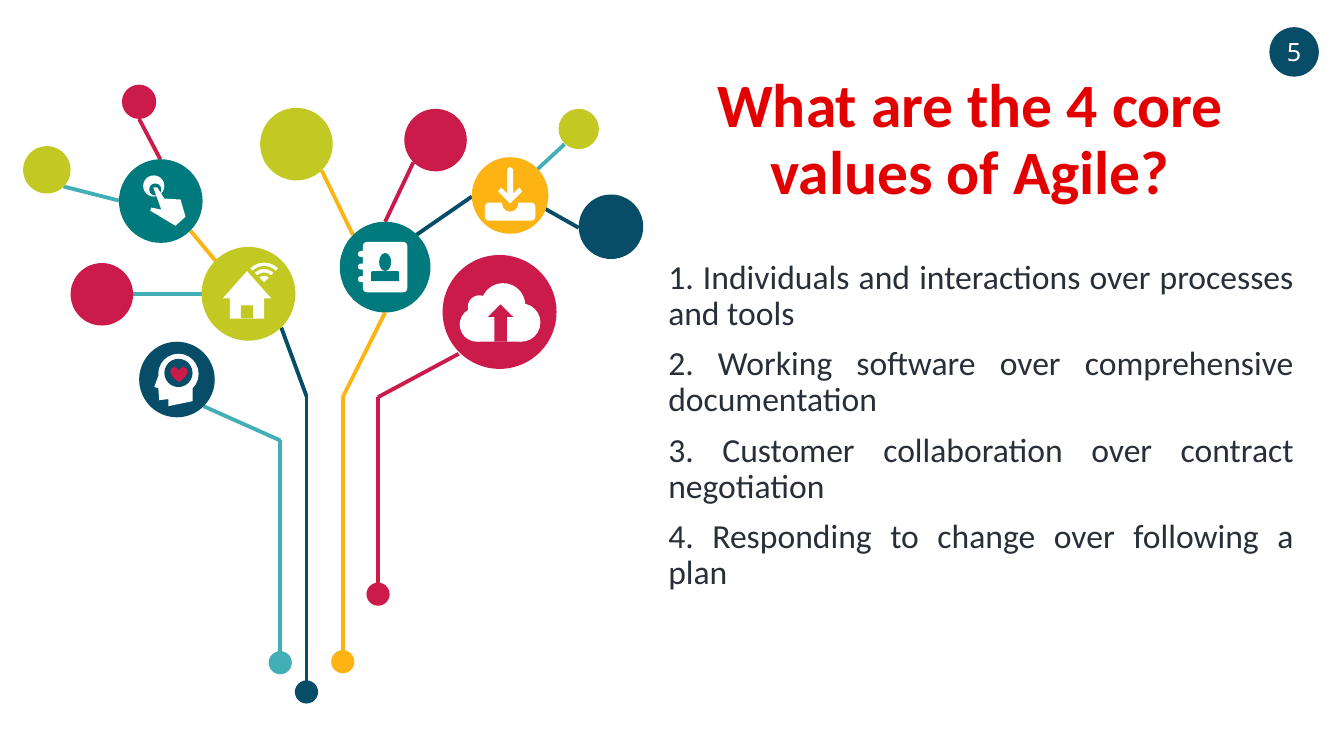
import itertools
import lxml.etree
import pptx
import pptx.dml.color
import pptx.enum.shapes
import pptx.enum.text
import pptx.oxml.ns
import pptx.util

THEME = {
    "navy": "074D67", "aqua": "42AFB6", "amber": "FCB414", "crimson": "CB1B4A",
    "teal": "007A7D", "lime": "C2C923", "white": "FFFFFF", "red": "E30000", "ink": "282F39",
    "body font": "Calibri", "badge font": "Noto Sans",
    "title size": 44, "value size": 24, "badge size": 18, "branch width": 2.75,
}

TITLE = "What are the 4 core values of Agile?"
VALUES = [
    "1. Individuals and interactions over processes and tools",
    "2. Working software over comprehensive documentation",
    "3. Customer collaboration over contract negotiation",
    "4. Responding to change over following a plan",
]
PAGE = "5"

ROOT_SIZE = 0.23
STEMS = [
    ("aqua", (2.78, 6.46), 4.37, (2.02, 4.03)),
    ("navy", (3.04, 6.75), 3.93, (2.79, 3.25)),
    ("amber", (3.4, 6.45), 3.94, (3.82, 3.1)),
    ("crimson", (3.75, 5.78), 3.94, (4.55, 3.51)),
]
TWIGS = [
    ("navy", (5.21, 1.96), (5.74, 2.26)),
    ("aqua", (5.33, 1.68), (5.6, 1.43)),
    ("amber", (2.14, 2.59), (1.89, 2.29)),
    ("navy", (4.13, 2.33), (4.68, 1.95)),
    ("amber", (3.5, 2.33), (3.19, 1.69)),
    ("crimson", (3.82, 2.2), (4.1, 1.61)),
    ("aqua", (2, 2.92), (1.32, 2.92)),
    ("aqua", (1.18, 1.99), (0.63, 1.85)),
    ("crimson", (1.38, 1.18), (1.59, 1.58)),
]
NODES = [
    ("crimson", 4.39, 2.53, 1.13), ("amber", 4.68, 1.56, 0.76),
    ("navy", 1.38, 3.39, 0.75), ("teal", 3.37, 2.2, 0.9),
    ("teal", 1.18, 1.58, 0.83), ("lime", 2, 2.45, 0.93),
    ("crimson", 4.01, 1.08, 0.62), ("lime", 2.58, 1.07, 0.72),
    ("lime", 5.54, 1.08, 0.4), ("navy", 5.74, 1.93, 0.64),
    ("crimson", 0.7, 2.61, 0.62), ("crimson", 1.21, 0.84, 0.34),
    ("lime", 0.23, 1.45, 0.47),
]

BOOK = [("ROUNDED_RECTANGLE", "white", 3.55, 2.49 + 0.125 * tab, 0.1, 0.06) for tab in range(3)] + [
    ("ROUNDED_RECTANGLE", "white", 3.6, 2.4, 0.44, 0.5),
    ("OVAL", "teal", 3.76, 2.51, 0.12, 0.18),
    ("ROUND_2_SAME_RECTANGLE", "teal", 3.68, 2.69, 0.28, 0.1),
]
CLOUD = [
    ("OVAL", "white", 4.56, 3.05, 0.34, 0.34),
    ("OVAL", "white", 4.64, 2.93, 0.23, 0.23),
    ("OVAL", "white", 4.77, 2.81, 0.44, 0.44),
    ("OVAL", "white", 4.98, 3.01, 0.38, 0.38),
    ("RECTANGLE", "white", 4.73, 3.1, 0.45, 0.29),
    ("UP_ARROW", "crimson", 4.84, 3.02, 0.25, 0.37),
]
HOUSE = [
    ("ISOSCELES_TRIANGLE", "white", 2.21, 2.69, 0.48, 0.27),
    ("RECTANGLE", "white", 2.28, 2.94, 0.34, 0.22),
    ("RECTANGLE", "lime", 2.39, 3.03, 0.12, 0.13),
]
HEAD = [
    ("OVAL", "white", 1.57, 3.51, 0.4, 0.4),
    ("OVAL", "navy", 1.63, 3.56, 0.28, 0.28),
    ("HEART", "crimson", 1.69, 3.64, 0.17, 0.15),
]
TOUCH = [
    ("OVAL", "white", 1.42, 1.74, 0.21, 0.21),
    ("OVAL", "teal", 1.48, 1.82, 0.12, 0.12),
]
DOWNLOAD = [
    ("ROUNDED_RECTANGLE", "white", 4.81, 2.01, 0.5, 0.18),
    ("OVAL", "amber", 4.98, 1.94, 0.16, 0.16),
    ("ROUNDED_RECTANGLE", "white", 5.03, 1.66, 0.06, 0.34),
]
FACE = [(1.57, 3.73), (1.53, 3.84), (1.57, 3.85), (1.58, 3.97), (1.67, 3.96),
        (1.67, 4.03), (1.91, 3.98), (1.91, 3.82)]
HAND = [(1.52, 1.86), (1.56, 1.86), (1.63, 1.97), (1.79, 1.98), (1.84, 2.15),
        (1.74, 2.24), (1.49, 2.09), (1.5, 2.06), (1.6, 2.08)]
ARROWHEAD = [(4.94, 1.9), (4.97, 1.86), (5.06, 1.95), (5.15, 1.86), (5.18, 1.9), (5.06, 2.02)]

SIGNAL_CENTER = (2.62, 2.8)
SIGNAL_STEP = 0.065
ARC_START, ARC_END = 135, 189


def inches(*lengths):
    return [pptx.util.Cm(length * 2.54) for length in lengths]


def color(name):
    return pptx.dml.color.RGBColor.from_string(THEME[name])


def paint(shape, fill):
    shape.shadow.inherit = False
    shape.fill.solid()
    shape.fill.fore_color.rgb = color(fill)
    shape.line.fill.background()


def write(frame, lines, font, size, ink, align, bold=False, spacing=None, before=None):
    frame.word_wrap = True
    frame.text = "\n".join(lines)
    for paragraph in frame.paragraphs:
        paragraph.alignment = align
        paragraph.line_spacing = spacing
        paragraph.space_before = before
        for run in paragraph.runs:
            run.font.name = THEME[font]
            run.font.size = pptx.util.Pt(THEME[size])
            run.font.bold = bold
            run.font.color.rgb = color(ink)


def add_part(shapes, kind, fill, left, top, width, height):
    part = shapes.add_shape(
        pptx.enum.shapes.MSO_SHAPE[kind], *inches(left, top, width, height))
    paint(part, fill)
    if kind == "ROUNDED_RECTANGLE":
        part.adjustments[0] = min(0.5, 0.04 / min(width, height))
    return part


def add_circle(shapes, fill, left, top, size):
    return add_part(shapes, "OVAL", fill, left, top, size, size)


def add_outline(shapes, corners):
    first, *rest = [tuple(inches(*corner)) for corner in corners]
    builder = shapes.build_freeform(*first)
    builder.add_line_segments(rest, close=True)
    paint(builder.convert_to_shape(), "white")


def add_signal(shapes):
    x, y = SIGNAL_CENTER
    for ring in (1, 2, 3):
        radius = ring * SIGNAL_STEP
        arc = add_part(shapes, "BLOCK_ARC", "white", x - radius, y - radius, 2 * radius, 2 * radius)
        arc.adjustments[0] = ARC_START
        arc.adjustments[1] = ARC_END
        arc.adjustments[2] = 0.5 if ring == 1 else 0.25 / ring


def add_branch(shapes, ink, *stops):
    for start, end in itertools.pairwise(stops):
        branch = shapes.add_connector(
            pptx.enum.shapes.MSO_CONNECTOR.STRAIGHT, *inches(*start, *end))
        branch.line.color.rgb = color(ink)
        branch.line.width = pptx.util.Pt(THEME["branch width"])
        lxml.etree.SubElement(branch._element.spPr, pptx.oxml.ns.qn("a:effectLst"))


def main():
    deck = pptx.Presentation()
    deck.slide_width, deck.slide_height = inches(13.33, 7.5)
    slide = deck.slides.add_slide(deck.slide_layouts[6])
    align = pptx.enum.text.PP_ALIGN

    title = slide.shapes.add_textbox(*inches(6.66, 0.76, 5.93, 1.35)).text_frame
    title.vertical_anchor = pptx.enum.text.MSO_ANCHOR.BOTTOM
    write(title, [TITLE], "body font", "title size", "red", align.CENTER, True, 0.9)

    values = slide.shapes.add_textbox(*inches(6.53, 2.53, 6.4, 3.35)).text_frame
    write(values, VALUES, "body font", "value size", "ink", align.JUSTIFY,
          spacing=0.9, before=pptx.util.Pt(10))

    badge = add_circle(slide.shapes, "navy", 12.59, 0.27, 0.49).text_frame
    badge.vertical_anchor = pptx.enum.text.MSO_ANCHOR.MIDDLE
    write(badge, [PAGE], "badge font", "badge size", "white", align.CENTER)

    tree = slide.shapes.add_group_shape().shapes
    for ink, root, knee, tip in STEMS:
        add_branch(tree, ink, (root[0], root[1] + ROOT_SIZE / 2), (root[0], knee), tip)
        add_circle(tree, ink, root[0] - ROOT_SIZE / 2, root[1], ROOT_SIZE)
    for twig in TWIGS:
        add_branch(tree, *twig)
    for node in NODES:
        add_circle(tree, *node)
    for corners in (FACE, HAND, ARROWHEAD):
        if corners is FACE:
            add_outline(tree, corners)
    for part in BOOK + CLOUD + HOUSE + HEAD + TOUCH + DOWNLOAD:
        add_part(tree, *part)
    for corners in (HAND, ARROWHEAD):
        add_outline(tree, corners)
    add_signal(tree)

    deck.save("out.pptx")


if __name__ == "__main__":
    main()
